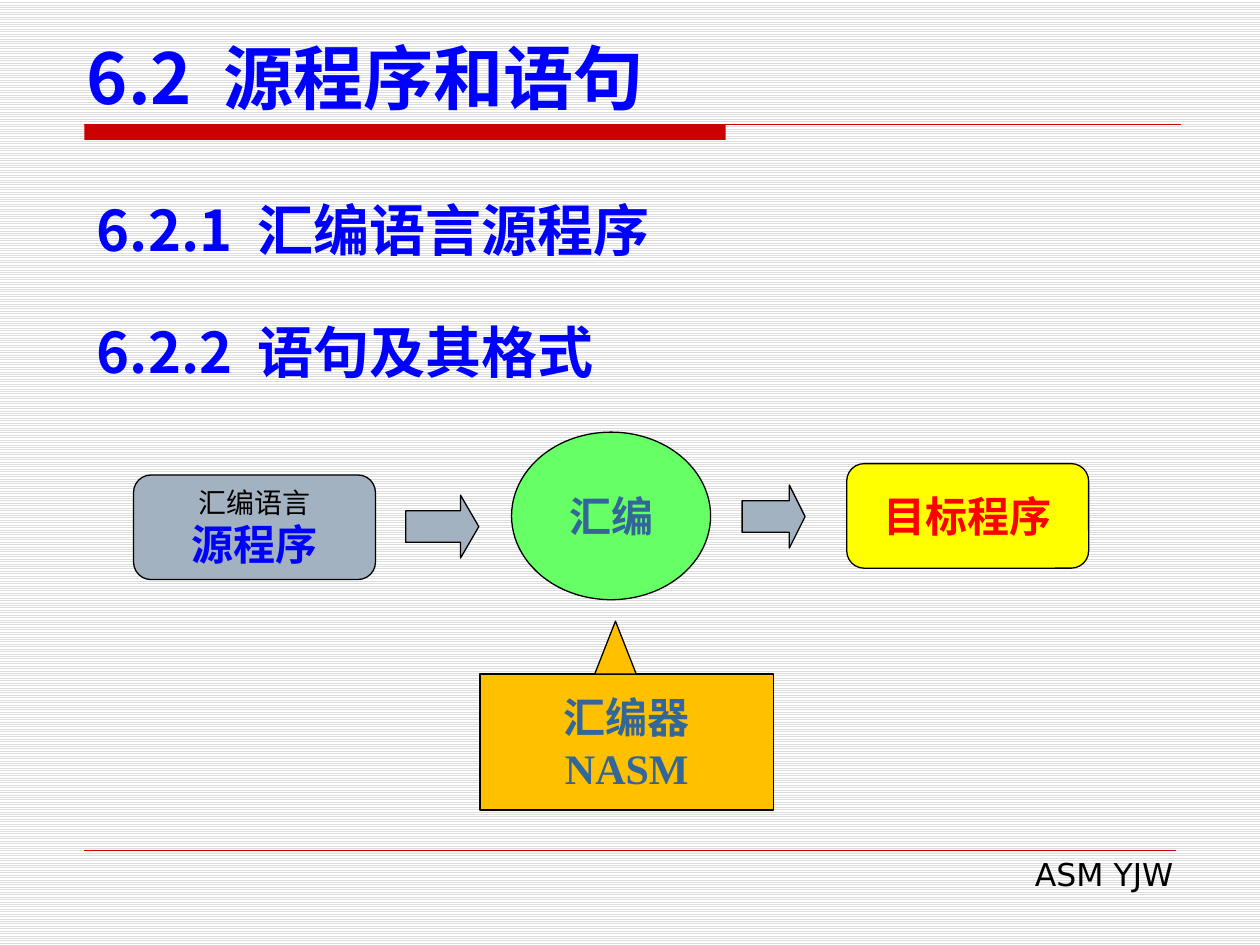
from dataclasses import dataclass
from pptx import Presentation
from pptx.dml.color import RGBColor as RGB
from pptx.enum.dml import MSO_PATTERN as PATTERN
from pptx.enum.shapes import MSO_CONNECTOR as LINK, MSO_SHAPE as SHAPE
from pptx.enum.text import MSO_ANCHOR as ANCHOR, PP_ALIGN as ALIGN
from pptx.oxml.ns import qn
from pptx.util import Inches, Pt
from lxml.etree import SubElement


@dataclass(frozen=True)
class Theme:
    blue: str = "0000FF"
    teal: str = "336699"
    red: str = "FF0000"
    rule: str = "CC0000"
    ink: str = "000000"
    paper: str = "FFFFFF"
    stripe: str = "DDDDDD"
    gray: str = "A3B2C1"
    green: str = "66FF66"
    yellow: str = "FFFF00"
    amber: str = "FFC000"
    title: int = 40
    head: int = 32
    label: int = 24
    foot: int = 18
    small: int = 16
    han: str = "Noto Sans CJK SC"
    serif: str = "Times New Roman"
    sans: str = "DejaVu Sans"


T = Theme()


def color(code):
    return RGB.from_string(code)


def place(shape, box):
    shape.left, shape.top, shape.width, shape.height = map(Inches, box)


def style(par, size, code, face, bold=True):
    for run in par.runs:
        font = run.font
        font.size, font.bold, font.name = Pt(size), bold, face
        font.color.rgb = color(code)
        SubElement(run._r.get_or_add_rPr(), qn("a:ea"), typeface=T.han)


def add_back(slide):
    fill = slide.background.fill
    fill.patterned()
    fill.pattern = PATTERN.LIGHT_HORIZONTAL
    fill.fore_color.rgb = color(T.stripe)
    fill.back_color.rgb = color(T.paper)


def add_rule(slide, start, end, y, width):
    rule = slide.shapes.add_connector(
        LINK.STRAIGHT, Inches(start), Inches(y), Inches(end), Inches(y))
    rule.line.color.rgb = color(T.rule)
    rule.line.width = Pt(width)
    SubElement(rule._element.spPr, qn("a:effectLst"))


def add_shape(slide, kind, box, fill, lines=(), line=T.ink):
    shape = slide.shapes.add_shape(kind, *map(Inches, box))
    shape.shadow.inherit = False
    shape.fill.solid()
    shape.fill.fore_color.rgb = color(fill)
    if line:
        shape.line.color.rgb = color(line)
        shape.line.width = Pt(0.75)
    else:
        shape.line.fill.background()
    if lines:
        frame = shape.text_frame
        frame.word_wrap = False
        frame.vertical_anchor = ANCHOR.MIDDLE
        frame.text = "\n".join(text for text, *_ in lines)
        for par, (_, size, code, bold) in zip(frame.paragraphs, lines):
            par.alignment = ALIGN.CENTER
            style(par, size, code, T.serif, bold)
    return shape


def add_arrow(slide, box, head):
    arrow = add_shape(slide, SHAPE.RIGHT_ARROW, box, T.gray)
    arrow.adjustments[0], arrow.adjustments[1] = 0.5, head


def add_text(slide, box, text):
    frame = slide.shapes.add_textbox(*map(Inches, box)).text_frame
    frame.word_wrap = True
    frame.text = text
    return frame.paragraphs


def add_title(slide, text):
    title = slide.shapes.title
    place(title, (0.59, 0.28, 9.06, 0.71))
    frame = title.text_frame
    frame.text = text
    frame.vertical_anchor = ANCHOR.BOTTOM
    par = frame.paragraphs[0]
    par.alignment = ALIGN.LEFT
    style(par, T.title, T.blue, T.han)


def add_heads(slide, heads):
    pars = add_text(slide, (0.67, 1.31, 8.66, 1.81), "\n".join(heads))
    for i, par in enumerate(pars):
        par.line_spacing = Pt(52)
        if i:
            par.space_before = Pt(18)
        style(par, T.head, T.blue, T.han)


def add_foot(slide, text):
    par = add_text(slide, (3.82, 6.74, 5.59, 0.4), text)[0]
    par.alignment = ALIGN.RIGHT
    style(par, T.foot, T.ink, T.sans, False)


def add_flow(slide):
    card = SHAPE.FLOWCHART_ALTERNATE_PROCESS
    add_shape(slide, SHAPE.OVAL, (4.06, 3.43, 1.58, 1.33), T.green,
              [("汇编", T.label, T.teal, True)])
    add_arrow(slide, (3.22, 3.93, 0.58, 0.5), 0.29)
    add_arrow(slide, (5.89, 3.85, 0.5, 0.5), 0.25)
    add_shape(slide, card, (1.06, 3.77, 1.92, 0.83), T.gray,
              [("汇编语言", T.small, T.ink, False),
               ("源程序", T.label, T.blue, True)])
    add_shape(slide, card, (6.72, 3.68, 1.92, 0.83), T.yellow,
              [("目标程序", T.label, T.red, True)])
    add_shape(slide, SHAPE.RECTANGLE, (3.81, 5.35, 2.33, 1.08), T.amber,
              [("汇编器", T.label, T.teal, True),
               ("NASM", T.label, T.teal, True)])
    add_shape(slide, SHAPE.ISOSCELES_TRIANGLE, (4.72, 4.93, 0.33, 0.42),
              T.amber)


def main():
    deck = Presentation()
    deck.slide_width, deck.slide_height = Inches(10), Inches(7.5)
    slide = deck.slides.add_slide(deck.slide_layouts[5])
    add_back(slide)
    add_shape(slide, SHAPE.RECTANGLE, (0.67, 0.99, 5.09, 0.12), T.rule,
              line=None)
    add_rule(slide, 0.67, 9.37, 0.99, 0.75)
    add_rule(slide, 0.67, 9.33, 6.75, 0.25)
    add_foot(slide, "ASM YJW")
    add_title(slide, "6.2  源程序和语句")
    add_heads(slide, ["6.2.1  汇编语言源程序", "6.2.2  语句及其格式"])
    add_flow(slide)
    deck.save("out.pptx")


if __name__ == "__main__":
    main()
